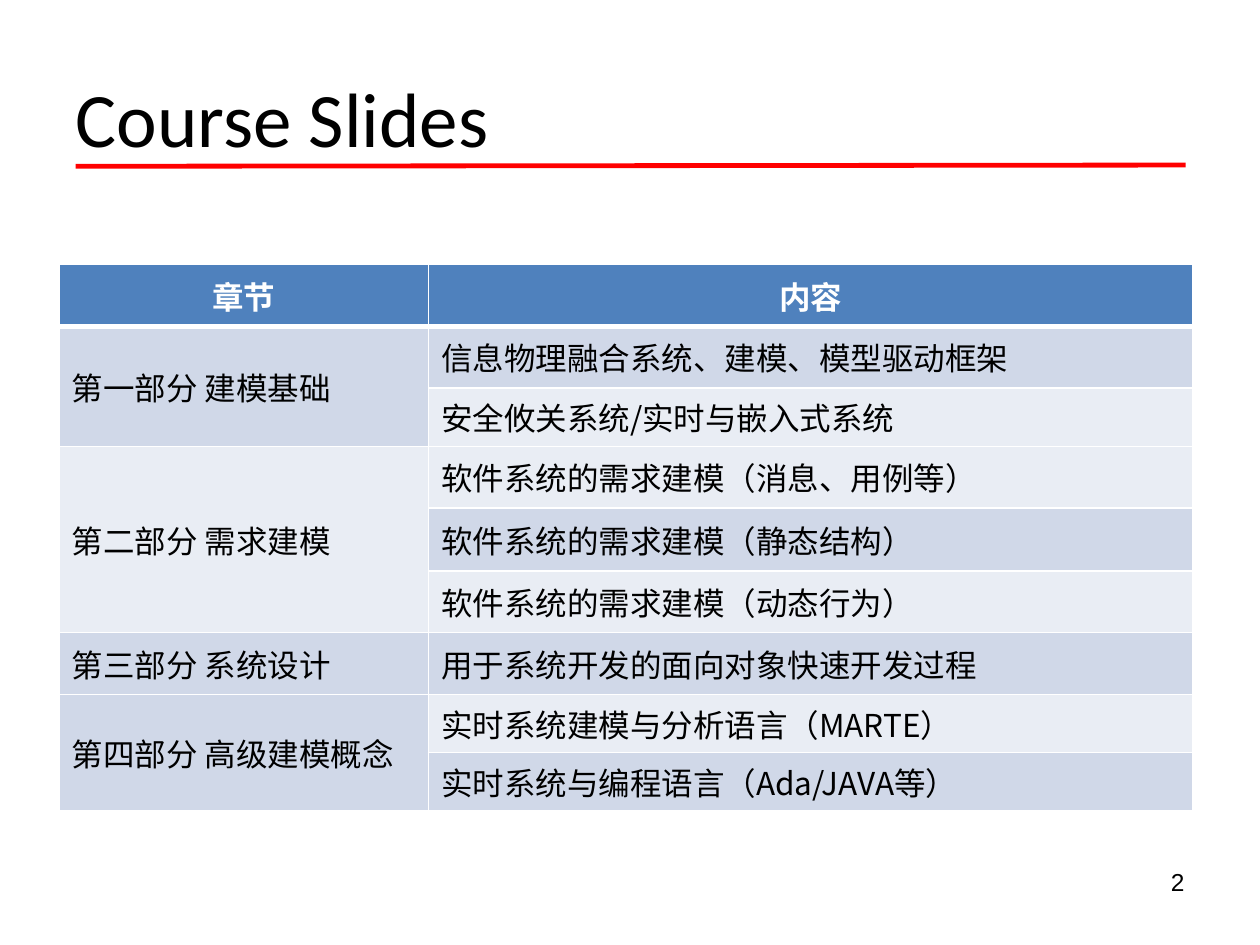
"""Build the course outline slide with its table of parts and topics."""
from lxml import etree
from pptx import Presentation
from pptx.dml.color import RGBColor
from pptx.enum.shapes import MSO_CONNECTOR
from pptx.enum.text import MSO_ANCHOR, PP_ALIGN
from pptx.oxml.ns import qn
from pptx.util import Inches, Pt

LEFT, CENTER, RIGHT = PP_ALIGN.LEFT, PP_ALIGN.CENTER, PP_ALIGN.RIGHT
MIDDLE = MSO_ANCHOR.MIDDLE
STRAIGHT = MSO_CONNECTOR.STRAIGHT
CJK = "Noto Sans CJK SC"
COLORS = {"head": "4F81BD", "dark": "D0D8E8", "light": "E9EDF4",
          "white": "FFFFFF", "black": "000000", "red": "FF0000"}
PARTS = [
    ("第一部分 建模基础", ["信息物理融合系统、建模、模型驱动框架",
                   "安全攸关系统/实时与嵌入式系统"]),
    ("第二部分 需求建模", ["软件系统的需求建模（消息、用例等）",
                   "软件系统的需求建模（静态结构）",
                   "软件系统的需求建模（动态行为）"]),
    ("第三部分 系统设计", ["用于系统开发的面向对象快速开发过程"]),
    ("第四部分 高级建模概念", ["实时系统建模与分析语言（MARTE）",
                     "实时系统与编程语言（Ada/JAVA等）"]),
]
WIDTHS = [2.93, 6.07]
HEIGHTS = [0.49, 0.49, 0.44, 0.49, 0.5, 0.49, 0.49, 0.4, 0.4]


def write(frame, text, size, font, color="black", align=LEFT, bold=False):
    para = frame.paragraphs[0]
    para.alignment = align
    run = para.add_run()
    run.text = text
    run.font.size = Pt(size)
    run.font.name = font
    run.font.bold = bold
    run.font.color.rgb = RGBColor.from_string(COLORS[color])
    face = etree.SubElement(run.font._element, qn("a:ea"))
    face.set("typeface", font)


def style(cell, fill, top, base):
    cell.vertical_anchor = MIDDLE
    props = cell._tc.get_or_add_tcPr()
    for side, width in (("L", 1), ("R", 1), ("T", top), ("B", base)):
        edge = etree.SubElement(props, qn(f"a:ln{side}"), w=str(Pt(width)))
        solid = etree.SubElement(edge, qn("a:solidFill"))
        etree.SubElement(solid, qn("a:srgbClr"), val=COLORS["white"])
    cell.fill.solid()
    cell.fill.fore_color.rgb = RGBColor.from_string(COLORS[fill])


deck = Presentation()
deck.slide_width, deck.slide_height = Inches(10), Inches(7.5)
slide = deck.slides.add_slide(deck.slide_layouts[5])

title = slide.shapes.title
title.left, title.top = Inches(0.5), Inches(0.3)
title.width, title.height = Inches(9), Inches(1.25)
title.text_frame.vertical_anchor = MIDDLE
write(title.text_frame, "Course Slides", 44, "Calibri")

table = slide.shapes.add_table(
    len(HEIGHTS), len(WIDTHS), Inches(0.47), Inches(2.1),
    Inches(sum(WIDTHS)), Inches(sum(HEIGHTS))).table
for col, width in zip(table.columns, WIDTHS):
    col.width = Inches(width)
for row, height in zip(table.rows, HEIGHTS):
    row.height = Inches(height)

for col, text in enumerate(["章节", "内容"]):
    cell = table.cell(0, col)
    style(cell, "head", 1, 3)
    write(cell.text_frame, text, 18, CJK, "white", CENTER, True)

start = 1
for part, topics in PARTS:
    band = "dark" if start % 2 else "light"
    if start == 3:
        band = "light"
    elif start == 6:
        band = "dark"
    for row, topic in enumerate(topics, start):
        top = 3 if row == 1 else 1
        shade = "dark" if row in (1, 4, 6, 8) else "light"
        style(table.cell(row, 0), band, top, 1)
        style(table.cell(row, 1), shade, top, 1)
        write(table.cell(row, 1).text_frame, topic, 18, CJK)
    first = table.cell(start, 0)
    if len(topics) > 1:
        first.merge(table.cell(row, 0))
    write(first.text_frame, part, 18, CJK)
    start += len(topics)

number = slide.shapes.add_textbox(
    Inches(7.17), Inches(6.83), Inches(2.33), Inches(0.52))
number.text_frame.word_wrap = True
write(number.text_frame, "2", 14, "Arial", align=RIGHT)

rule = slide.shapes.add_connector(
    STRAIGHT, Inches(0.6), Inches(1.32), Inches(9.41), Inches(1.31))
rule.line.color.rgb = RGBColor.from_string(COLORS["red"])
rule.line.width = Pt(2.75)
etree.SubElement(rule._element.spPr, qn("a:effectLst"))

deck.save("out.pptx")
